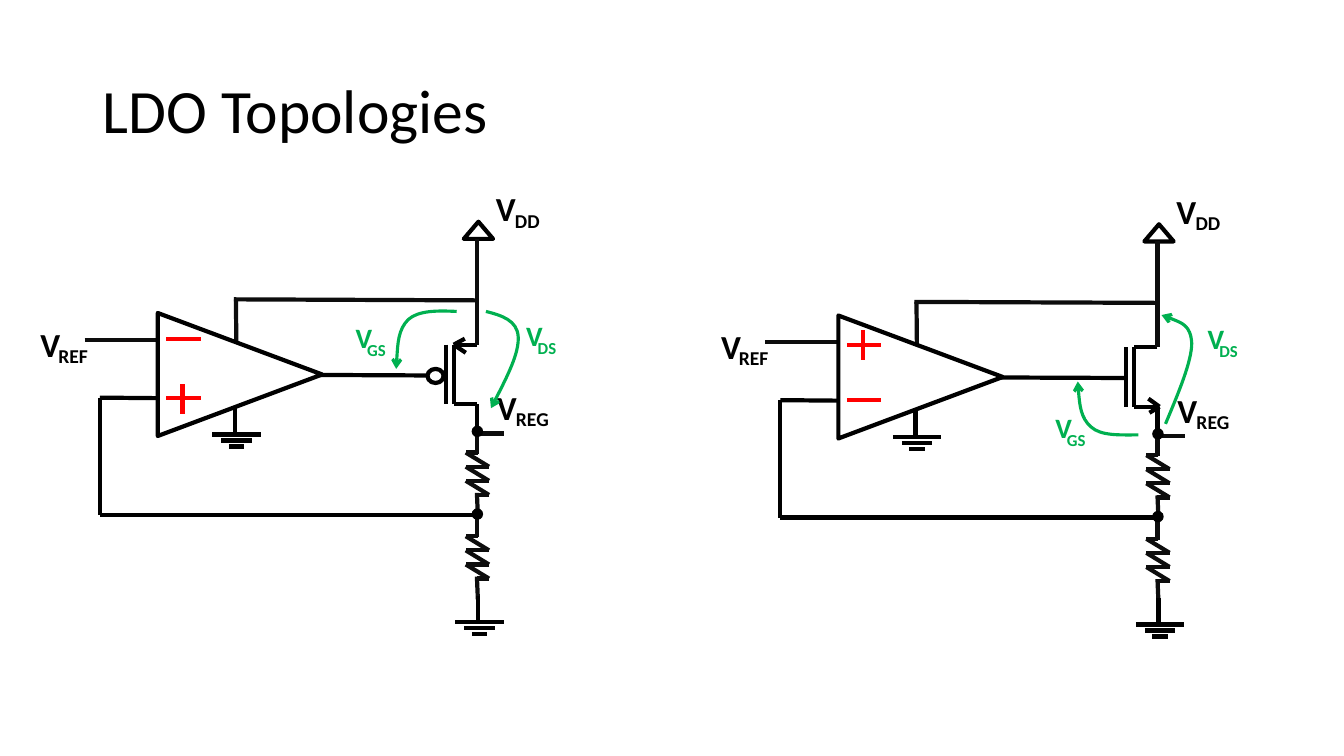
from itertools import pairwise

from lxml import etree
from pptx import Presentation
from pptx.dml.color import RGBColor
from pptx.enum.shapes import MSO_CONNECTOR, MSO_SHAPE
from pptx.enum.text import MSO_ANCHOR, MSO_AUTO_SIZE, PP_ALIGN
from pptx.oxml.ns import qn
from pptx.util import Inches, Pt

STRAIGHT = MSO_CONNECTOR.STRAIGHT
TRIANGLE, OVAL = MSO_SHAPE.ISOSCELES_TRIANGLE, MSO_SHAPE.OVAL
TOP, MIDDLE = MSO_ANCHOR.TOP, MSO_ANCHOR.MIDDLE
LEFT, CENTER = PP_ALIGN.LEFT, PP_ALIGN.CENTER
FIT_SHAPE, NO_FIT = MSO_AUTO_SIZE.SHAPE_TO_FIT_TEXT, MSO_AUTO_SIZE.NONE

BLACK = RGBColor(0x00, 0x00, 0x00)
CHARCOAL = RGBColor(0x0D, 0x0D, 0x0D)
WHITE = RGBColor(0xFF, 0xFF, 0xFF)
RED = RGBColor(0xFF, 0x00, 0x00)
GREEN = RGBColor(0x00, 0xB0, 0x50)

CELL = 0.1  # grid step in inches
RAIL = 47.3  # column of the output rail
RIGHT_CIRCUIT = (67.5, 0.25)


def write(frame, text, size=24, color=BLACK, bold=True, align=LEFT,
          anchor=TOP, fit=FIT_SHAPE, spacing=1.0):
    frame.word_wrap = True
    frame.auto_size = fit
    frame.vertical_anchor = anchor
    if align == CENTER:
        frame.margin_left = frame.margin_right = 0
    paragraph = frame.paragraphs[0]
    paragraph.alignment = align
    paragraph.line_spacing = spacing
    run = paragraph.add_run()
    run.text = text
    run.font.name = "Calibri"
    run.font.size = Pt(size)
    run.font.bold = bold
    run.font.color.rgb = color


class Schematic:
    """Draws on one slide, in grid cells counted from a movable origin."""

    def __init__(self, slide, stroke=3):
        self.shapes = slide.shapes
        self.stroke = stroke
        self.origin = (0, 0)

    def place(self, column, row):
        return (Inches((column + self.origin[0]) * CELL),
                Inches((row + self.origin[1]) * CELL))

    def box(self, column, row, columns, rows):
        return *self.place(column, row), Inches(columns * CELL), Inches(rows * CELL)

    def wire(self, *points, color=BLACK):
        for start, end in pairwise(points):
            connector = self.shapes.add_connector(
                STRAIGHT, *self.place(*start), *self.place(*end))
            connector.line.color.rgb = color
            connector.line.width = Pt(self.stroke)
            etree.SubElement(connector._element.spPr, qn("a:effectLst"))

    def symbol(self, kind, *box, fill=None, stroke=None, rotation=0):
        shape = self.shapes.add_shape(kind, *self.box(*box))
        shape.rotation = rotation
        self.outline(shape, BLACK, stroke or self.stroke, fill)

    def outline(self, shape, color, stroke, fill=None):
        shape.shadow.inherit = False
        if fill is None:
            shape.fill.background()
        else:
            shape.fill.solid()
            shape.fill.fore_color.rgb = fill
        shape.line.color.rgb = color
        shape.line.width = Pt(stroke)

    def text(self, text, *box, **style):
        write(self.shapes.add_textbox(*self.box(*box)).text_frame, text, **style)

    def arc(self, *points, arrow="tailEnd"):
        """Bezier arrow: a start, then two handles and an end per segment."""
        start, *rest = [self.place(*point) for point in points]
        builder = self.shapes.build_freeform(*start)
        builder.add_line_segments(rest, close=False)
        shape = builder.convert_to_shape()
        self.outline(shape, GREEN, 2.25)
        properties = shape._element.spPr
        segments = list(properties.iter(qn("a:lnTo")))
        for first in range(0, len(segments), 3):
            curve = etree.Element(qn("a:cubicBezTo"))
            segments[first].addprevious(curve)
            for segment in segments[first:first + 3]:
                curve.append(segment[0])
                segment.getparent().remove(segment)
        etree.SubElement(properties.find(qn("a:ln")), qn(f"a:{arrow}"), type="arrow")

    def ground(self, column, row):
        self.wire((column, row), (column, row + 2.6))
        for half, drop in ((2.4, 2.6), (1.5, 3.2), (0.75, 3.8)):
            self.wire((column + 0.15 - half, row + drop),
                      (column + 0.15 + half, row + drop))

    def resistor(self, row):
        left, right, pitch = RAIL - 1.1, RAIL + 1.2, 1.4
        zigzag = [(RAIL + 0.1, row + 2.3)]
        for turn in range(3):
            zigzag += [(left, row + 2.3 + turn * pitch),
                       (right, row + 2.3 + (turn + 1) * pitch)]
        zigzag.append((RAIL, row + 2.3 + 3 * pitch))
        self.wire((RAIL, row), (RAIL, row + 2.4), color=CHARCOAL)
        self.wire(*zigzag, color=CHARCOAL)
        self.wire((RAIL, row + 6.3), (RAIL + 0.1, row + 8.6), color=CHARCOAL)

    def sign(self, row, upright=None):
        self.wire((16.5, row), (19.9, row), color=RED)
        if upright:
            self.wire((18.1, upright), (18.1, upright + 3), color=RED)

    def voltage(self, subscript, column, row):
        self.text("V", column, row, 5.3, 3.6, size=20, color=GREEN)
        self.text(subscript, column + 0.7, row + 1.9, 4.7, 3,
                  size=12, color=GREEN, align=CENTER)

    def circuit(self, gate):
        # Supply, transistor and gate wire
        self.symbol(TRIANGLE, 46, 22, 2.9, 1.7)
        for plate in (44.2, 45):
            self.wire((plate, 34.2), (plate, 40.1))
        self.wire((RAIL, 32.3), (RAIL, 34.2), (45, 34.2))
        self.wire((45, 40.1), (RAIL, 40.1), (RAIL, 42.6))
        self.wire((gate, 37.25), (31.7, 37.2))
        self.wire((RAIL, 23.7), (RAIL, 34.2), color=CHARCOAL)
        # Divider and feedback
        for row in (42.6, 50.9):
            self.resistor(row)
        self.ground(47.4, 59.1)
        self.wire((RAIL, 51.1), (9.9, 51.1), (9.9, 39.45), (15.7, 39.5))
        # Amplifier with its supply and reference wires
        self.ground(23.3, 40.5)
        self.wire((23.5, 40.1), (23.4, 29.7), color=CHARCOAL)
        self.wire((23.2, 29.7), (47.5, 29.8), color=CHARCOAL)
        self.wire((8.4, 33.7), (16.3, 33.7), color=CHARCOAL)
        self.symbol(TRIANGLE, 17.7, 29, 12.2, 16.3, fill=WHITE, rotation=90)
        # Node labels
        self.text("V", 0.9, 31.6, 8.2, 5, align=CENTER)
        self.text("REF", 4.8, 33.6, 4.9, 3.4, size=14, align=CENTER)
        self.wire((RAIL, 43), (50, 43), color=CHARCOAL)
        for name, column, row, shift in (("DD", 48.2, 18.2, 1), ("REG", 48.3, 37.9, 1.4)):
            self.text("V", column, row, 12.6, 5)
            self.text(name, column + shift, row + 2, 6.2, 3.4, size=14, align=CENTER)
        for row in (42.3, 50.5):
            self.symbol(OVAL, 46.85, row, 1, 1, fill=BLACK, stroke=1)


def main():
    presentation = Presentation()
    presentation.slide_width = Inches(13.33)
    presentation.slide_height = Inches(7.5)
    slide = presentation.slides.add_slide(presentation.slide_layouts[6])
    schematic = Schematic(slide)
    schematic.text("LDO Topologies", 9.2, 4, 115, 14.5, size=44, bold=False,
                   anchor=MIDDLE, fit=NO_FIT, spacing=0.9)

    # Left: P-channel regulator
    schematic.circuit(gate=42.4)
    schematic.symbol(OVAL, 42.4, 36.6, 1.6, 1.4)
    schematic.wire((46.2, 35), (45, 34.2), (46.1, 33.6))
    schematic.sign(33.6)
    schematic.sign(39.5, upright=38.1)
    schematic.arc((45.3, 30.9), (43.4, 30.8), (41.5, 30.8), (40.5, 31.7),
                  (39.5, 32.7), (39.4, 34.7), (39.3, 36.6))
    schematic.voltage("GS", 34.3, 31.3)
    schematic.arc((48.2, 30.9), (49.8, 31.3), (51.3, 31.8), (51.4, 33.4),
                  (51.5, 35), (50.1, 37.8), (48.7, 40.5))
    schematic.voltage("DS", 51.2, 31.1)

    # Right: N-channel regulator
    schematic.origin = RIGHT_CIRCUIT
    schematic.circuit(gate=44.2)
    schematic.wire((46.4, 39.3), (47.5, 40.1), (46.5, 40.7))
    schematic.sign(34, upright=32.5)
    schematic.sign(39.4)
    schematic.arc((45.4, 42.9), (43.5, 42.9), (41.7, 43), (40.7, 42.1),
                  (39.7, 41.2), (39.5, 39.4), (39.4, 37.6))
    schematic.voltage("GS", 36.2, 40)
    schematic.arc((47.7, 31), (49.1, 31.5), (50.6, 32), (50.7, 33.8),
                  (50.7, 35.6), (49.4, 38.7), (48.1, 41.8), arrow="headEnd")
    schematic.voltage("DS", 51.3, 31.2)

    presentation.save("out.pptx")


if __name__ == "__main__":
    main()
